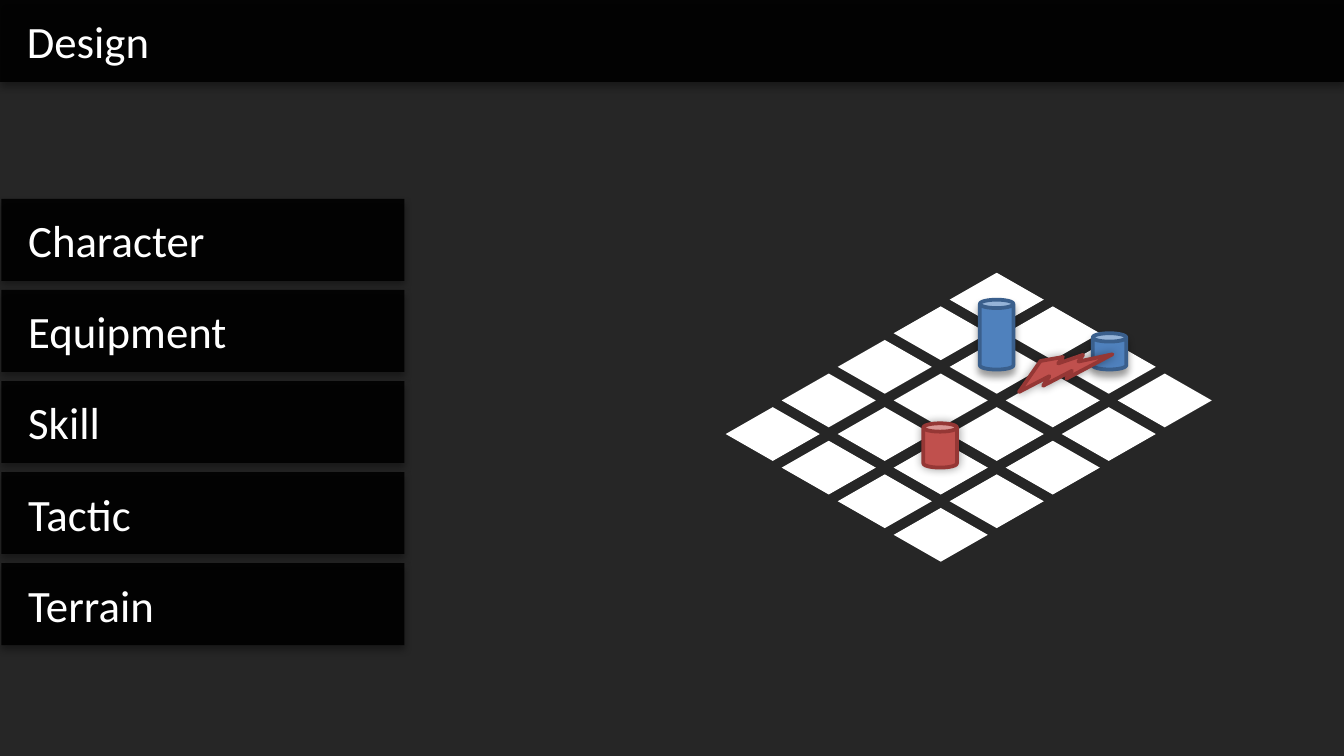
import lxml.etree
import pptx
import pptx.dml.color
import pptx.enum.shapes
import pptx.enum.text
import pptx.oxml.ns
import pptx.util

Inches = pptx.util.Inches
Pt = pptx.util.Pt
Shape = pptx.enum.shapes.MSO_SHAPE
AutoSize = pptx.enum.text.MSO_AUTO_SIZE
qn = pptx.oxml.ns.qn


def paint(shape, fill, line=None, opacity=100, shadow=None):
    """Set fill and outline; shadow is (blur, distance) in points, cast downwards."""
    shape.fill.solid()
    shape.fill.fore_color.rgb = pptx.dml.color.RGBColor.from_string(fill)
    if opacity < 100:
        color = shape.element.spPr.find(qn("a:solidFill")).find(qn("a:srgbClr"))
        lxml.etree.SubElement(color, qn("a:alpha"), val=str(opacity * 1000))
    if line:
        shape.line.color.rgb = pptx.dml.color.RGBColor.from_string(line)
        shape.line.width = Pt(2)
    else:
        shape.line.fill.background()
    shape.shadow.inherit = False
    if shadow:
        blur, distance = shadow
        effects = shape.element.spPr.find(qn("a:effectLst"))
        outer = lxml.etree.SubElement(
            effects, qn("a:outerShdw"), blurRad=str(Pt(blur)), dist=str(Pt(distance)),
            dir=str(90 * 60000), algn="ctr", rotWithShape="0")
        color = lxml.etree.SubElement(outer, qn("a:srgbClr"), val="000000")
        lxml.etree.SubElement(color, qn("a:alpha"), val="40000")


def write_text(shape, text, size=24, font="Calibri", color="FFFFFF",
               auto_size=AutoSize.SHAPE_TO_FIT_TEXT):
    frame = shape.text_frame
    frame.word_wrap = True
    frame.auto_size = auto_size
    frame.vertical_anchor = pptx.enum.text.MSO_ANCHOR.MIDDLE
    frame.margin_left = frame.margin_right = Inches(0.2)
    frame.margin_top = frame.margin_bottom = Inches(0.1)
    paragraph = frame.paragraphs[0]
    paragraph.alignment = pptx.enum.text.PP_ALIGN.LEFT
    run = paragraph.add_run()
    run.text = text
    run.font.size = Pt(size)
    run.font.name = font
    run.font.color.rgb = pptx.dml.color.RGBColor.from_string(color)


presentation = pptx.Presentation()
presentation.slide_width = Inches(10)
presentation.slide_height = Inches(10 * 9 / 16)
slide = presentation.slides.add_slide(presentation.slide_layouts[5])
slide.background.fill.solid()
slide.background.fill.fore_color.rgb = pptx.dml.color.RGBColor.from_string("262626")

# Title bar across the full width
bar_height = Inches(0.61)
title = slide.shapes.title
title.left, title.top = 0, 0
title.width, title.height = presentation.slide_width, bar_height
paint(title, "000000", opacity=90, shadow=(4, 2))
write_text(title, "Design", auto_size=AutoSize.NONE)

# Isometric board: columns climb to the right, rows descend to the right
step_x, step_y = 5 / 12, 0.25
tile_width, tile_height = 0.7, 0.4
board_x, board_y = 5.75, 3.23
for row in range(4):
    for column in range(5):
        center_x = board_x + (column + row) * step_x
        center_y = board_y + (row - column) * step_y
        tile = slide.shapes.add_shape(
            Shape.DIAMOND, Inches(center_x - tile_width / 2),
            Inches(center_y - tile_height / 2), Inches(tile_width), Inches(tile_height))
        paint(tile, "FFFFFF")

# Pieces standing on the board, and the attack between them
blue, red = ("4F81BD", "3A5F8C"), ("C0504D", "953735")
pieces = [
    (Shape.CAN, 7.29, 2.23, 0.25, 0.52, 0, blue, (4, 3)),
    (Shape.CAN, 8.13, 2.48, 0.25, 0.27, 0, blue, (4, 3)),
    (Shape.CAN, 6.87, 3.15, 0.25, 0.33, 0, red, (5, 0)),
    (Shape.LIGHTNING_BOLT, 7.56, 2.59, 0.7, 0.33, 316.9, red, (5, 0)),
]
for kind, left, top, width, height, rotation, (fill, line), shadow in pieces:
    piece = slide.shapes.add_shape(
        kind, Inches(left), Inches(top), Inches(width), Inches(height))
    piece.rotation = rotation
    paint(piece, fill, line, shadow=shadow)

# Topic bars at the left edge, evenly spread from the first to the last
topics = ["Character", "Equipment", "Skill", "Tactic", "Terrain"]
first_top, last_top = 1.48, 4.19
topic_pitch = (last_top - first_top) / (len(topics) - 1)
for index, topic in enumerate(topics):
    bar = slide.shapes.add_shape(
        Shape.RECTANGLE, Inches(0.01), Inches(first_top + index * topic_pitch),
        Inches(3), bar_height)
    paint(bar, "000000", opacity=90, shadow=(4, 2))
    write_text(bar, topic)

presentation.save("out.pptx")
